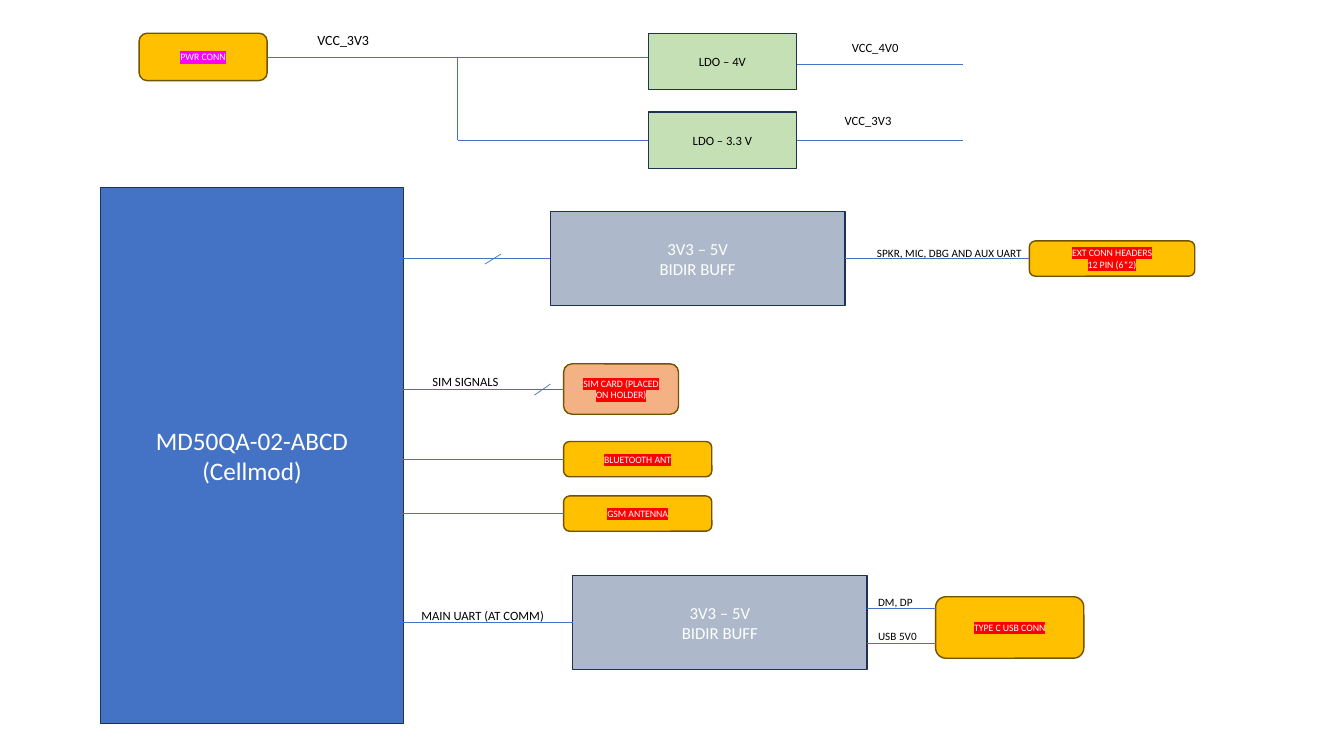
from lxml import etree
from pptx import Presentation
from pptx import util as u
from pptx.dml.color import RGBColor
from pptx.enum import shapes, text
from pptx.oxml.ns import qn

COLORS = {
    "module": "4472C4", "buffer": "ADB9CA", "regulator": "C5E0B4",
    "connector": "FFC000", "sim": "F4B183", "wire": "4472C4",
    "dark border": "1E3256", "gold border": "705400",
    "white": "FFFFFF", "black": "000000", "red": "FF0000", "magenta": "FF00FF",
}
LEFT, RIGHT = 1, 3

presentation = Presentation()
presentation.slide_width, presentation.slide_height = u.Inches(13.33), u.Inches(7.5)
slide = presentation.slides.add_slide(presentation.slide_layouts[6])
unit = presentation.slide_height / 75  # square grid, 75 rows high


def grid(*cells):
    return [u.Emu(round(cell * unit)) for cell in cells]


def write(shape, content, size, color, alignment):
    shape.text_frame.word_wrap = True
    shape.text_frame.text = content
    for paragraph in shape.text_frame.paragraphs:
        paragraph.alignment = alignment
        paragraph.font.name = "Calibri"
        paragraph.font.size = u.Pt(size)
        paragraph.font.color.rgb = RGBColor.from_string(COLORS[color])


# Blocks: kind -> preset shape, border, font size, font colour
RECTANGLE = shapes.MSO_SHAPE.RECTANGLE
ROUNDED = shapes.MSO_SHAPE.ROUNDED_RECTANGLE
styles = {
    "module": (RECTANGLE, "dark border", 18, "white"),
    "buffer": (RECTANGLE, "dark border", 12, "white"),
    "regulator": (RECTANGLE, "dark border", 9, "black"),
    "connector": (ROUNDED, "gold border", 7, "white"),
    "sim": (ROUNDED, "gold border", 7, "white"),
}
buffer_text = "3V3 – 5V\nBIDIR BUFF"
# name: kind, text, highlight, left, top, width, height
blocks = {
    "power": ("connector", "PWR CONN", "magenta", 13.8, 3.3, 12.7, 4.7),
    "ldo 4v": ("regulator", "LDO – 4V", None, 64.3, 3.3, 14.7, 5.6),
    "ldo 3v3": ("regulator", "LDO – 3.3 V", None, 64.3, 11.1, 14.7, 5.6),
    "module": ("module", "MD50QA-02-ABCD\v(Cellmod)", None, 10, 18.6, 30, 53.2),
    "headers": ("connector", "EXT CONN HEADERS\n12 PIN (6*2)", "red", 102.1, 23.9, 16.4, 3.5),
    "upper buffer": ("buffer", buffer_text, None, 54.6, 21, 29.2, 9.3),
    "sim": ("sim", "SIM CARD (PLACED ON HOLDER)", "red", 55.9, 36.1, 11.4, 5),
    "bluetooth": ("connector", "BLUETOOTH ANT", "red", 55.9, 43.8, 14.7, 3.5),
    "gsm": ("connector", "GSM ANTENNA", "red", 55.9, 49.2, 14.7, 3.5),
    "usb": ("connector", "TYPE C USB CONN", "red", 92.8, 59.2, 14.7, 6.1),
    "lower buffer": ("buffer", buffer_text, None, 56.8, 57.1, 29.2, 9.3),
}
block_shapes = {}
for name, (kind, content, highlight, *place) in blocks.items():
    preset, border, size, font_color = styles[kind]
    block = slide.shapes.add_shape(preset, *grid(*place))
    block.shadow.inherit = False
    block.fill.solid()
    block.fill.fore_color.rgb = RGBColor.from_string(COLORS[kind])
    block.line.color.rgb = RGBColor.from_string(COLORS[border])
    block.line.width = u.Pt(1)
    block.text_frame.vertical_anchor = text.MSO_ANCHOR.MIDDLE
    write(block, content, size, font_color, text.PP_ALIGN.CENTER)
    if highlight:
        for paragraph in block.text_frame.paragraphs:
            for run in paragraph.runs:
                mark = etree.SubElement(run._r.get_or_add_rPr(), qn("a:highlight"))
                etree.SubElement(mark, qn("a:srgbClr"), val=COLORS[highlight])
    block_shapes[name] = block

# Wire ends are a grid point or a block with its side
wires = [
    (("power", RIGHT), (64.3, 5.65)),
    ((45.4, 5.65), (45.4, 13.9)),
    ((45.4, 13.9), ("ldo 3v3", LEFT)),
    ((79, 6.4), (95.5, 6.4)),
    (("ldo 3v3", RIGHT), (95.5, 13.9)),
    ((40, 25.65), ("upper buffer", LEFT)),
    (("upper buffer", RIGHT), ("headers", LEFT)),
    ((40, 38.6), ("sim", LEFT)),
    ((40, 45.55), ("bluetooth", LEFT)),
    ((40, 50.95), ("gsm", LEFT)),
    ((40, 61.75), ("lower buffer", LEFT)),
    ((86, 60.4), (92.8, 60.4)),
    ((86, 63.8), (92.8, 63.8)),
    ((49.7, 25.2), (48.1, 26.2)),  # bus slashes
    ((54.6, 38.1), (53, 39.2)),
]
for ends in wires:
    points = [(0, 0) if end[0] in blocks else end for end in ends]
    wire = slide.shapes.add_connector(
        shapes.MSO_CONNECTOR.STRAIGHT, *grid(*points[0], *points[1]))
    for end, join in zip(ends, (wire.begin_connect, wire.end_connect)):
        if end[0] in blocks:
            join(block_shapes[end[0]], end[1])
    wire.line.color.rgb = RGBColor.from_string(COLORS["wire"])
    wire.line.width = u.Pt(0.5)
    etree.SubElement(wire._element.spPr, qn("a:effectLst"))

# Signal labels: text, font size, left, top, width, height
labels = [
    ("VCC_3V3", 10, 30.5, 2.6, 9.7, 4.3),
    ("VCC_4V0", 9, 83.5, 3.5, 9, 4),
    ("VCC_3V3", 9, 82.8, 10.7, 9, 4),
    ("SPKR, MIC, DBG AND AUX UART", 8, 86, 23.9, 17.3, 2.4),
    ("SIM SIGNALS", 9, 41.9, 36.6, 11.2, 2.6),
    ("MAIN UART (AT COMM)", 9, 40.8, 59.8, 19.2, 2.6),
    ("DM, DP", 8, 86.1, 58.6, 6.5, 2.4),
    ("USB 5V0", 8, 86.1, 61.9, 6.9, 2.4),
]
for content, size, *place in labels:
    label = slide.shapes.add_textbox(*grid(*place))
    write(label, content, size, "black", text.PP_ALIGN.LEFT)

presentation.save("out.pptx")
